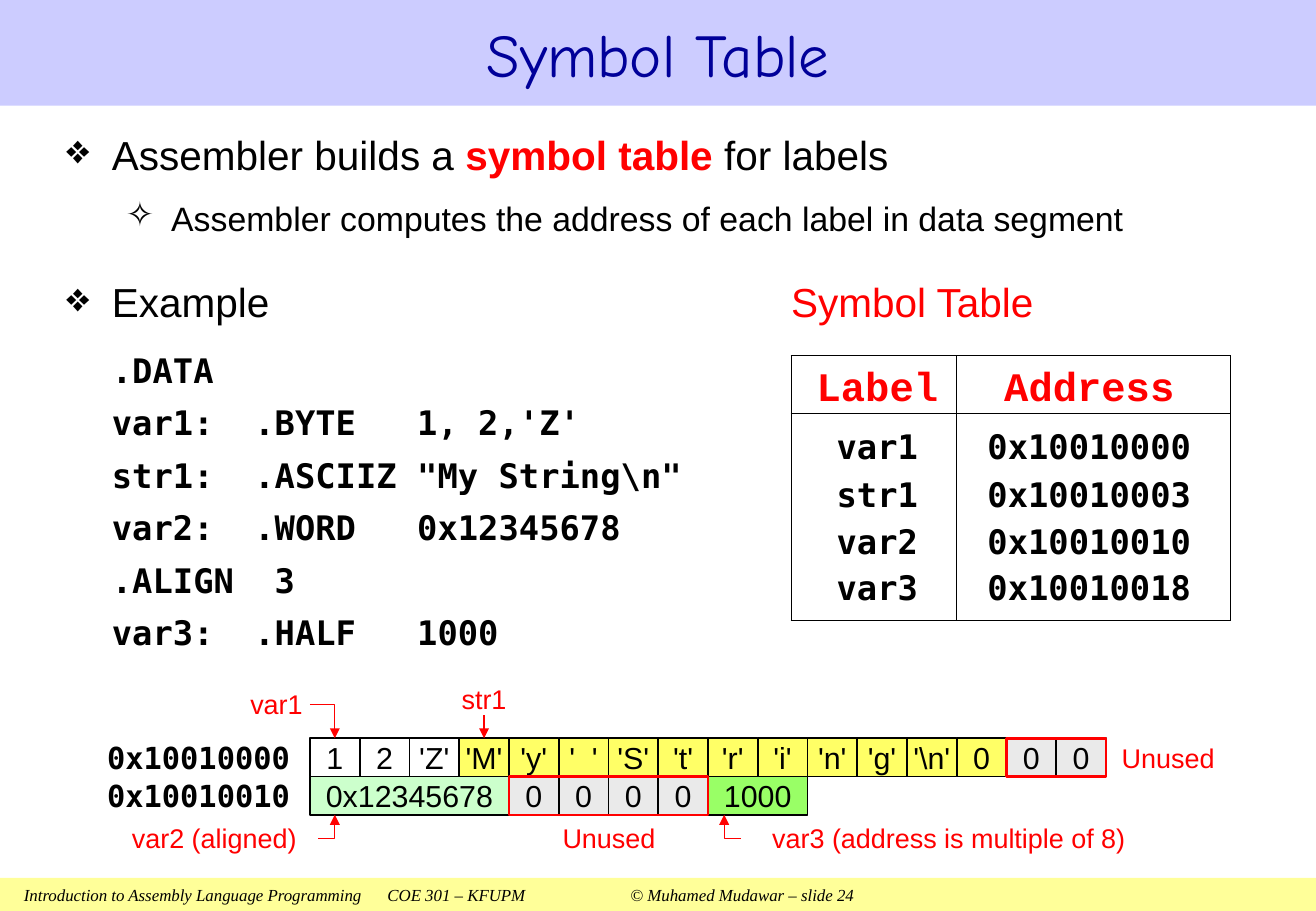
"""Builds the Symbol Table slide: an assembler example, its symbols and the memory map."""
import pptx
import pptx.util
import pptx.dml.color
import pptx.enum.shapes
import pptx.enum.text
import pptx.oxml
import pptx.oxml.ns
import lxml.etree

Cm, Pt = pptx.util.Cm, pptx.util.Pt
Align, Anchor = pptx.enum.text.PP_ALIGN, pptx.enum.text.MSO_ANCHOR
qn = pptx.oxml.ns.qn


class Theme:
    sans, mono, header_mono = "Arial", "DejaVu Sans Mono", "Courier New"
    title_font, footer_font = "Comic Neue", "Times New Roman"
    black, red, navy = "000000", "FF0000", "000099"
    lavender, cream = "CCCCFF", "FFFF99"
    yellow, mint, green, gray = "FFFF66", "CCFFCC", "99FF66", "EAEAEA"
    title, heading, body, memory, label, footer = 36, 24, 20, 18, 16, 10


def add_run(paragraph, text, size, font=Theme.sans, color=Theme.black, bold=False, italic=False):
    run = paragraph.add_run()
    run.text = text
    run.font.size, run.font.name = Pt(size), font
    run.font.bold, run.font.italic = bold, italic
    run.font.color.rgb = pptx.dml.color.RGBColor.from_string(color)


def add_box(left, top, width, height, fill=None, line=None, weight=1):
    frame = [Cm(length) for length in (left, top, width, height)]
    if fill or line:
        box = slide.shapes.add_shape(pptx.enum.shapes.MSO_SHAPE.RECTANGLE, *frame)
        box.shadow.inherit = False
        box.fill.background()
        box.line.fill.background()
    else:
        box = slide.shapes.add_textbox(*frame)
    if fill:
        box.fill.solid()
        box.fill.fore_color.rgb = pptx.dml.color.RGBColor.from_string(fill)
    if line:
        box.line.color.rgb = pptx.dml.color.RGBColor.from_string(line)
        box.line.width = Pt(weight)
    text = box.text_frame
    text.word_wrap = True
    text.vertical_anchor = Anchor.MIDDLE
    text.margin_left = text.margin_right = text.margin_top = text.margin_bottom = 0
    text.paragraphs[0].alignment = Align.CENTER
    return box


deck = pptx.Presentation()
deck.slide_width, deck.slide_height = Cm(27.51), Cm(19.05)
slide = deck.slides.add_slide(deck.slide_layouts[6])

footer = add_box(0, 18.36, 27.51, 0.69, Theme.cream).text_frame
footer.margin_left = Cm(0.5)
credits = footer.paragraphs[0]
credits.alignment = Align.LEFT
stops = lxml.etree.SubElement(credits._p.get_or_add_pPr(), qn("a:tabLst"))
for position in (7.6, 12.68):
    lxml.etree.SubElement(stops, qn("a:tab"), pos=str(Cm(position)), algn="l")
add_run(credits, "Introduction to Assembly Language Programming\tCOE 301 – KFUPM\t© Muhamed Mudawar – slide 24",
        Theme.footer, Theme.footer_font, italic=True)

title = add_box(0, 0, 27.51, 2.21, Theme.lavender).text_frame
add_run(title.paragraphs[0], "Symbol Table", Theme.title, Theme.title_font, Theme.navy)

outline = add_box(1.37, 2.49, 24.69, 11.84).text_frame
outline.vertical_anchor = Anchor.TOP
outline.margin_top = outline.margin_bottom = Cm(0.13)
points = [
    ("❖", 0.97, 0, [("Assembler builds a ", Theme.black, False), ("symbol table ", Theme.red, True),
                    ("for labels", Theme.black, False)], Theme.heading, Theme.sans),
    ("✧", 2.21, 9.2, [("Assembler computes the address of each label in data segment", Theme.black, False)],
     Theme.body, Theme.sans),
    ("❖", 0.97, 20, [("Example\t", Theme.black, False), ("Symbol Table", Theme.red, False)],
     Theme.heading, Theme.sans),
]
code = [".DATA", "var1:  .BYTE   1, 2,'Z'", 'str1:  .ASCIIZ "My String\\n"',
        "var2:  .WORD   0x12345678", ".ALIGN  3", "var3:  .HALF   1000"]
for number, statement in enumerate(code):
    points.append((None, 0.97, 4.7 if number else 11.6, [(statement, Theme.black, True)], Theme.body, Theme.mono))
for number, (bullet, indent, gap, runs, size, font) in enumerate(points):
    point = outline.add_paragraph() if number else outline.paragraphs[0]
    point.alignment = Align.LEFT
    layout = point._p.get_or_add_pPr()
    layout.set("marL", str(Cm(indent)))
    layout.set("indent", str(Cm(-0.95) if bullet else 0))
    if bullet:
        lxml.etree.SubElement(layout, qn("a:buChar"), char=bullet)
    stops = lxml.etree.SubElement(layout, qn("a:tabLst"))
    lxml.etree.SubElement(stops, qn("a:tab"), pos=str(Cm(17.7)), algn="ctr")
    point.line_spacing, point.space_before = 1.1, Pt(gap)
    for text, color, bold in runs:
        add_run(point, text, size, font, color, bold)

symbols = [("Label", "Address"), ("var1", "0x10010000"), ("str1", "0x10010003"),
           ("var2", "0x10010010"), ("var3", "0x10010018")]
row_heights = [1.2, 1.14, 0.99, 0.99, 1.22]
last = len(symbols) - 1
table = slide.shapes.add_table(len(symbols), 2, Cm(16.54), Cm(7.44), Cm(9.19), Cm(sum(row_heights))).table
table.first_row = table.horz_banding = False
table.columns[0].width, table.columns[1].width = Cm(3.45), Cm(5.74)
for row, (entry, height) in enumerate(zip(symbols, row_heights)):
    table.rows[row].height = Cm(height)
    for column, text in enumerate(entry):
        cell = table.cell(row, column)
        cell.vertical_anchor = Anchor.BOTTOM
        cell.margin_top = 0
        cell.margin_bottom = Cm(0.25) if row == last else 0
        cell.margin_left, cell.margin_right = (Cm(0.25), Cm(0.1)) if column == 0 else (Cm(0.1), Cm(0.28))
        edges = {"a:lnL": True, "a:lnR": True, "a:lnT": row < 2, "a:lnB": row in (0, last)}
        for edge, drawn in edges.items():
            border = lxml.etree.SubElement(cell._tc.get_or_add_tcPr(), qn(edge), w=str(Pt(0.75)))
            paint = lxml.etree.SubElement(border, qn("a:solidFill" if drawn else "a:noFill"))
            if drawn:
                lxml.etree.SubElement(paint, qn("a:srgbClr"), val=Theme.black)
        cell.fill.background()
        paragraph = cell.text_frame.paragraphs[0]
        paragraph.alignment = Align.CENTER
        if row:
            add_run(paragraph, text, Theme.body, Theme.mono, bold=True)
        else:
            add_run(paragraph, text, Theme.heading, Theme.header_mono, Theme.red, True)

byte_width, word_height, memory_left, memory_top = 1.04, 0.8, 6.48, 15.44
memory = [
    ("0x10010000", [(text, 1, None) for text in ("1", "2", "'Z'")]
     + [(text, 1, Theme.yellow) for text in
        ("'M'", "'y'", "'  '", "'S'", "'t'", "'r'", "'i'", "'n'", "'g'", "'\\n'", "0")]
     + [("0", 1, Theme.gray)] * 2),
    ("0x10010010", [("0x12345678", 4, Theme.mint)] + [("0", 1, Theme.gray)] * 4 + [("1000", 2, Theme.green)]),
]
for row, (address, values) in enumerate(memory):
    top = memory_top + row * word_height
    address_box = add_box(1.98, top, 4.34, word_height)
    add_run(address_box.text_frame.paragraphs[0], address, Theme.memory, Theme.mono, bold=True)
    offset = 0
    for text, size, fill in values:
        value = add_box(memory_left + offset * byte_width, top, size * byte_width, word_height, fill, Theme.black)
        add_run(value.text_frame.paragraphs[0], text, Theme.memory)
        offset += size

for row, first, count in ((0, 14, 2), (1, 4, 4)):
    add_box(memory_left + first * byte_width, memory_top + row * word_height,
            count * byte_width, word_height, line=Theme.red, weight=1.5)

callouts = [
    ("var1", 5.08, 14.33, 1.4, 0.79), ("str1", 9.42, 14.33, 1.4, 0.56),
    ("var2 (aligned)", 2.31, 17.2, 4.34, 0.64), ("Unused", 11.51, 17.2, 2.44, 0.64),
    ("var3 (address is multiple of 8)", 15.67, 17.2, 8.33, 0.64), ("Unused", 23.29, 15.44, 2.26, 0.8),
]
for text, *place in callouts:
    add_run(add_box(*place).text_frame.paragraphs[0], text, Theme.label, color=Theme.red)

pointers = [
    [(6.48, 14.73), (7, 14.73), (7, 15.44)],
    [(10.12, 14.96), (10.12, 15.44)],
    [(6.65, 17.53), (7, 17.53), (7, 17.04)],
    [(15.49, 17.53), (15.14, 17.53), (15.14, 17.04)],
]
for route in pointers:
    start, *bends = [(Cm(x), Cm(y)) for x, y in route]
    if len(bends) == 1:
        pointer = slide.shapes.add_connector(pptx.enum.shapes.MSO_CONNECTOR.STRAIGHT, *start, *bends[0])
    else:
        builder = slide.shapes.build_freeform(*start)
        builder.add_line_segments(bends, close=False)
        pointer = builder.convert_to_shape()
        pointer.fill.background()
    pointer.line.color.rgb = pptx.dml.color.RGBColor.from_string(Theme.red)
    pointer.line.width = Pt(0.75)
    lxml.etree.SubElement(pointer.line._get_or_add_ln(), qn("a:tailEnd"), type="triangle")
    lxml.etree.SubElement(pointer._element.spPr, qn("a:effectLst"))

deck.save("out.pptx")
